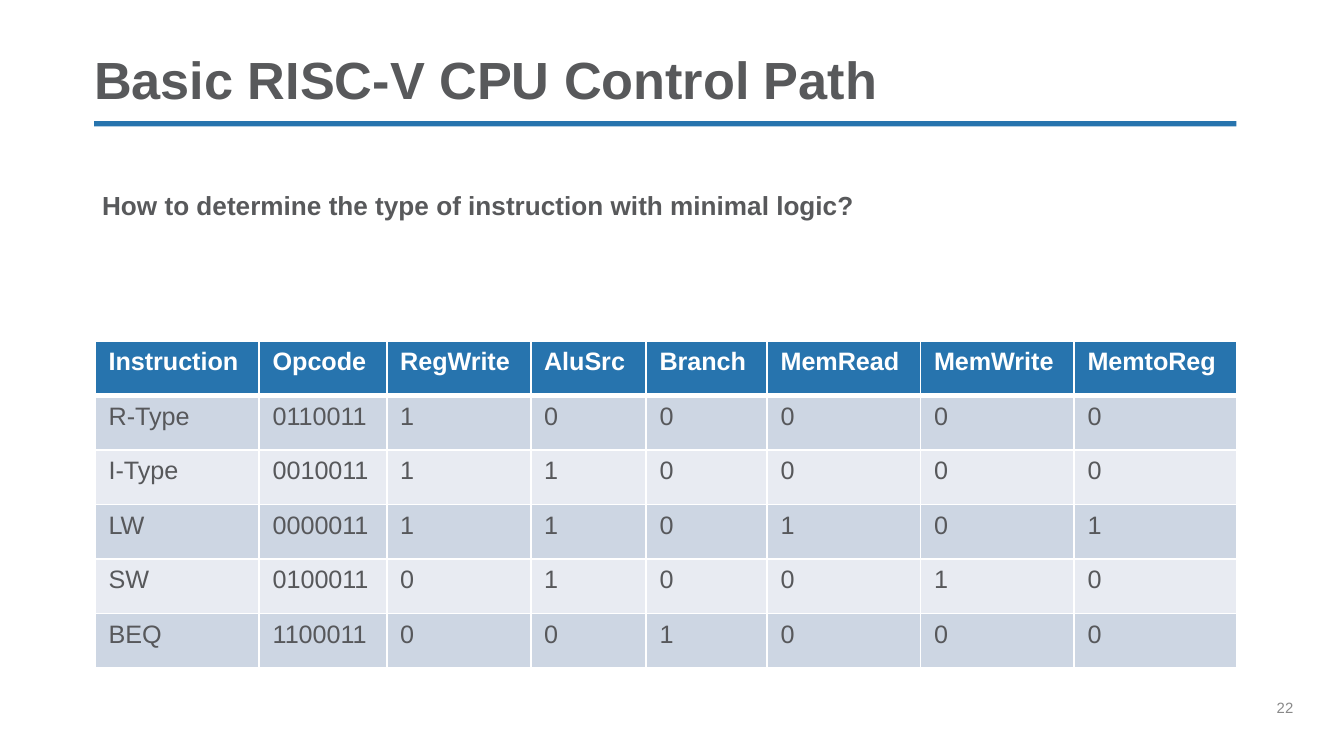
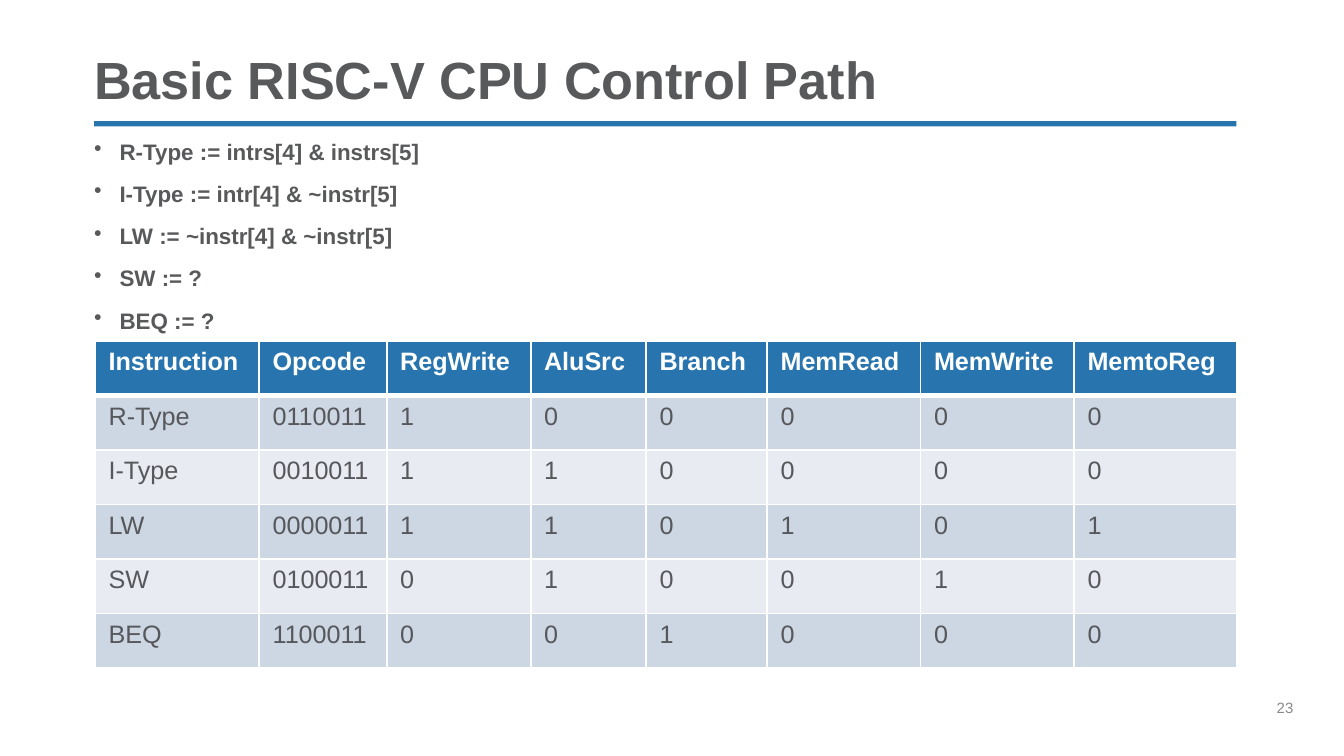
from lxml.etree import SubElement
from pptx import Presentation
from pptx.dml.color import RGBColor
from pptx.enum.shapes import MSO_SHAPE
from pptx.enum.text import MSO_ANCHOR
from pptx.oxml.ns import qn
from pptx.util import Cm, Pt

FONT = "Arial"
BLUE = RGBColor(0x27, 0x74, 0xAE)
WHITE = RGBColor(0xFF, 0xFF, 0xFF)
TEXT_GREY = RGBColor(0x58, 0x59, 0x5B)
CELL_GREY = RGBColor(0x57, 0x58, 0x5B)
NUMBER_GREY = RGBColor(0x89, 0x89, 0x89)
BAND_DARK = RGBColor(0xCD, 0xD6, 0xE3)
BAND_LIGHT = RGBColor(0xE8, 0xEB, 0xF2)

TITLE = "Basic RISC-V CPU Control Path"
QUESTION = ["How to determine the type of instruction with minimal logic?"]
RULES = [
    "R-Type := intrs[4] & instrs[5]",
    "I-Type := intr[4] & ~instr[5]",
    "LW := ~instr[4] & ~instr[5]",
    "SW := ?",
    "BEQ := ?",
]
SIGNALS = [
    ("Instruction", "Opcode", "RegWrite", "AluSrc", "Branch", "MemRead", "MemWrite", "MemtoReg"),
    ("R-Type", "0110011", "1", "0", "0", "0", "0", "0"),
    ("I-Type", "0010011", "1", "1", "0", "0", "0", "0"),
    ("LW", "0000011", "1", "1", "0", "1", "0", "1"),
    ("SW", "0100011", "0", "1", "0", "0", "1", "0"),
    ("BEQ", "1100011", "0", "0", "1", "0", "0", "0"),
]
COLUMN_WIDTHS = [3.1, 2.41, 2.72, 2.18, 2.29, 2.9, 2.9, 3.07]
ROW_HEIGHT = 1.03
LEFT = 1.78
CONTENT_WIDTH = 21.59
BODY_WIDTH = 22.66
BULLET_INDENT = Cm(0.48)


def style(paragraph, size, color, bold=False):
    font = paragraph.font
    font.name, font.size, font.bold = FONT, Pt(size), bold
    font.color.rgb = color


def add_bullet(paragraph):
    properties = paragraph._p.get_or_add_pPr()
    properties.set("marL", str(BULLET_INDENT))
    properties.set("indent", str(-BULLET_INDENT))
    SubElement(properties, qn("a:buChar")).set("char", "•")


def add_text(slide, place, lines, size, color, bold=False, bulleted=False,
             anchor=MSO_ANCHOR.TOP, line_spacing=None):
    frame = slide.shapes.add_textbox(*map(Cm, place)).text_frame
    frame.word_wrap = True
    frame.vertical_anchor = anchor
    frame.margin_left = frame.margin_top = frame.margin_right = frame.margin_bottom = 0
    for index, line in enumerate(lines):
        paragraph = frame.add_paragraph() if index else frame.paragraphs[0]
        paragraph.text = line
        if bulleted:
            add_bullet(paragraph)
        if index:
            paragraph.space_before = Pt(8.2)
        if line_spacing:
            paragraph.line_spacing = line_spacing
        style(paragraph, size, color, bold)


def add_borders(cell, widths):
    """Draw white borders; widths gives points for left, right, top, bottom."""
    properties = cell._tc.get_or_add_tcPr()
    for side, width in zip("LRTB", widths):
        line = SubElement(properties, qn(f"a:ln{side}"), w=str(Pt(width)))
        fill = SubElement(line, qn("a:solidFill"))
        SubElement(fill, qn("a:srgbClr"), val=str(WHITE))


def add_signal_table(slide):
    table = slide.shapes.add_table(
        len(SIGNALS), len(COLUMN_WIDTHS), Cm(1.8), Cm(6.45),
        Cm(sum(COLUMN_WIDTHS)), Cm(ROW_HEIGHT * len(SIGNALS))).table
    for column, width in zip(table.columns, COLUMN_WIDTHS):
        column.width = Cm(width)
    for row_index, values in enumerate(SIGNALS):
        table.rows[row_index].height = Cm(ROW_HEIGHT)
        header = row_index == 0
        band = BLUE if header else BAND_DARK if row_index % 2 else BAND_LIGHT
        widths = (1, 1, 3 if row_index == 1 else 1, 3 if header else 1)
        for column_index, value in enumerate(values):
            cell = table.cell(row_index, column_index)
            add_borders(cell, widths)
            cell.fill.solid()
            cell.fill.fore_color.rgb = band
            cell.text = value
            style(cell.text_frame.paragraphs[0], 13.5, WHITE if header else CELL_GREY, header)


def add_control_slide(presentation, number):
    slide = presentation.slides.add_slide(presentation.slide_layouts[6])
    rule = slide.shapes.add_shape(
        MSO_SHAPE.RECTANGLE, Cm(LEFT), Cm(2.29), Cm(CONTENT_WIDTH), Cm(0.1))
    rule.shadow.inherit = False
    rule.fill.solid()
    rule.fill.fore_color.rgb = BLUE
    rule.line.fill.background()
    add_text(slide, (24.13, 13.21, 1.27, 1.02), [str(number)], 8, NUMBER_GREY)
    add_text(slide, (LEFT, 1.02, CONTENT_WIDTH, 1.07), [TITLE], 28, TEXT_GREY, bold=True,
             anchor=MSO_ANCHOR.BOTTOM, line_spacing=0.9)
    add_signal_table(slide)
    return slide


def main():
    presentation = Presentation()
    presentation.slide_width, presentation.slide_height = Cm(25.4), Cm(14.29)
    question_slide = add_control_slide(presentation, 22)
    add_text(question_slide, (1.93, 3.58, BODY_WIDTH, 0.61), QUESTION, 14, TEXT_GREY, bold=True)
    rules_slide = add_control_slide(presentation, 23)
    add_text(rules_slide, (LEFT, 2.61, BODY_WIDTH, 4.55), RULES, 12, TEXT_GREY, bold=True,
             bulleted=True)
    presentation.save("out.pptx")


if __name__ == "__main__":
    main()
